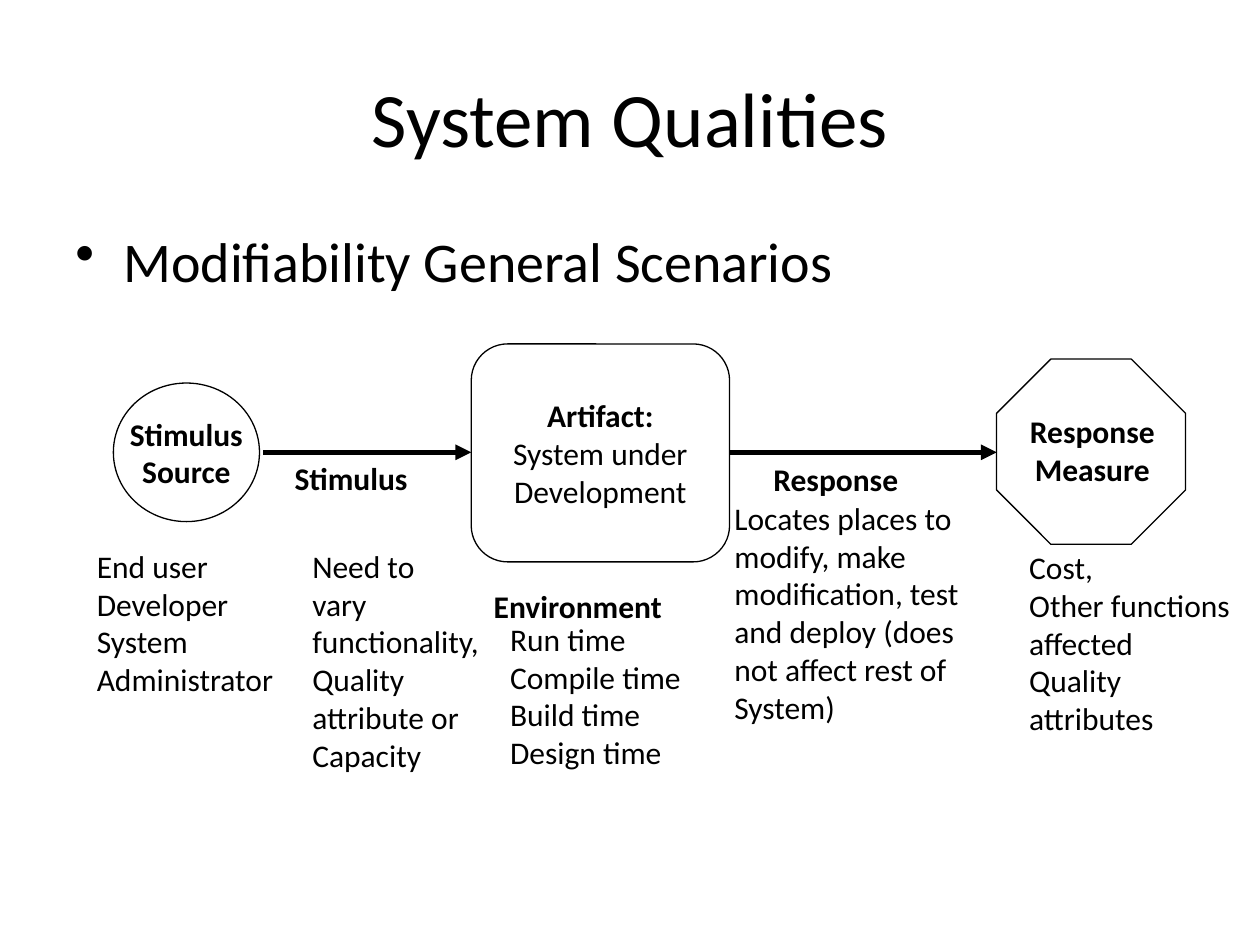
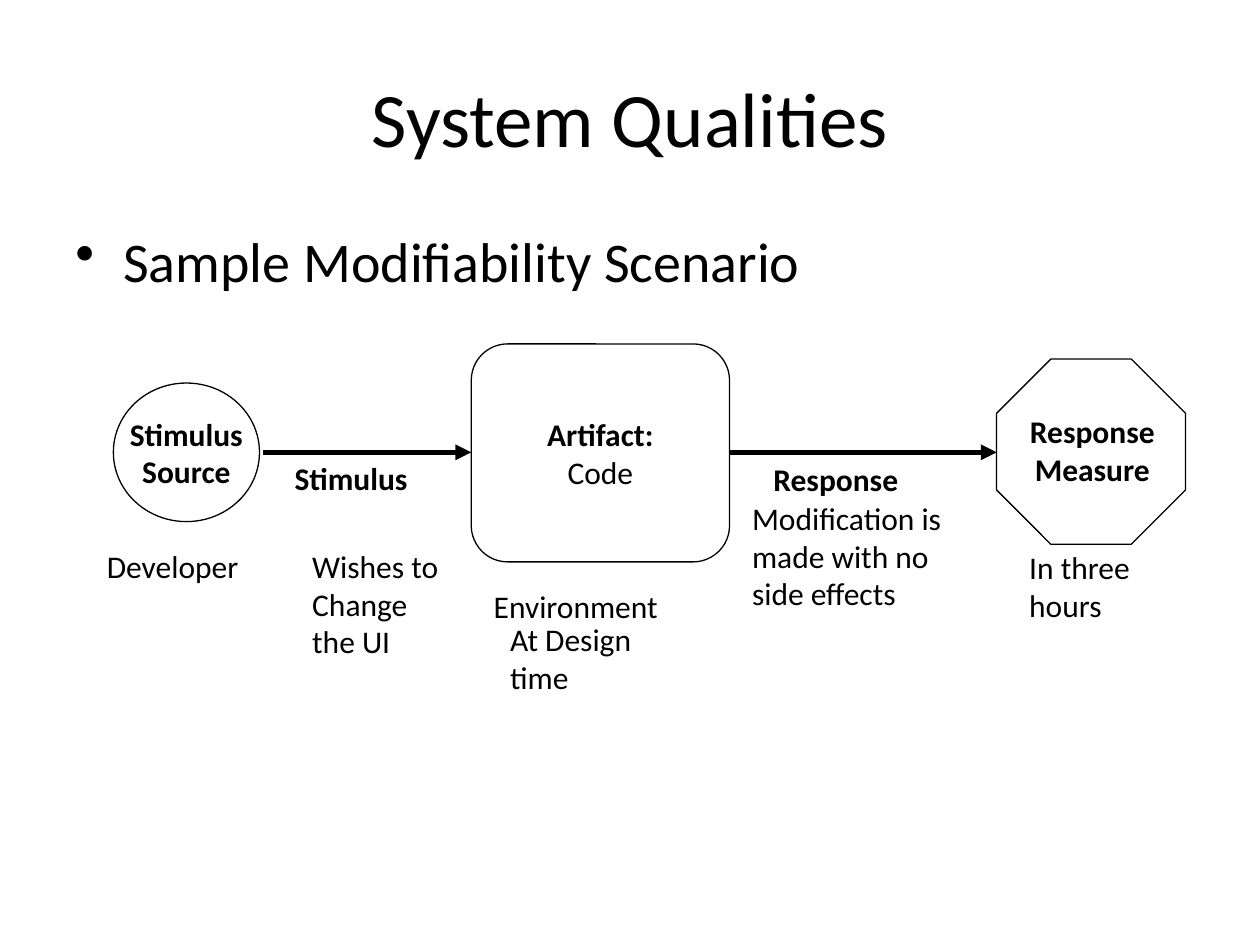
import dataclasses
import typing

import lxml.etree
import pptx
import pptx.dml.color
import pptx.enum.shapes
import pptx.enum.text
import pptx.oxml.ns
import pptx.util

COLORS = {"ink": "000000", "paper": "FFFFFF"}
FONT = "Calibri"
COLUMNS, ROWS = 100, 75  # grid laid over the slide
WIDTH, HEIGHT = pptx.util.Inches(10), pptx.util.Inches(7.5)
TITLE = "System Qualities"
TITLE_SIZE, TOPIC_SIZE, LABEL_SIZE = 44, 32, 18
AXIS_ROW = 35.9  # row of both arrows
NOTE_ROW = 42.9

Shape = pptx.enum.shapes.MSO_SHAPE
Align = pptx.enum.text.PP_ALIGN
Anchor = pptx.enum.text.MSO_ANCHOR
Fit = pptx.enum.text.MSO_AUTO_SIZE


@dataclasses.dataclass(frozen=True)
class Area:
    column: float
    row: float
    columns: float
    rows: float

    def lengths(self) -> tuple[int, int, int, int]:
        return (x_at(self.column), y_at(self.row), x_at(self.columns), y_at(self.rows))


@dataclasses.dataclass(frozen=True)
class Label:
    area: Area
    lines: tuple[str, ...]
    bold_lines: int = 0  # how many leading lines are bold
    align: typing.Any = Align.LEFT


@dataclasses.dataclass(frozen=True)
class Node:
    kind: typing.Any
    area: Area
    adjustment: float | None = None
    lines: tuple[str, ...] = ()
    bold_lines: int = 0


@dataclasses.dataclass(frozen=True)
class Scenario:
    topic: str
    artifact: tuple[str, ...]
    labels: tuple[Label, ...]


def x_at(column: float) -> int:
    return round(WIDTH * column / COLUMNS)


def y_at(row: float) -> int:
    return round(HEIGHT * row / ROWS)


# Parts that both scenarios share
ARROWS = ((57.9, 79.1), (20.9, 37.4))
OUTLINES = (
    Node(Shape.OCTAGON, Area(79.1, 28.5, 15, 14.7), 0.293),
    Node(Shape.OVAL, Area(9, 30.4, 11.6, 11), None, ("Stimulus", "Source"), 2),
)
SHARED_LABELS = (
    Label(Area(60.4, 36, 14, 4), ("Response",), 1),
    Label(Area(22.4, AXIS_ROW, 12.6, 4), ("Stimulus",), 1),
    Label(Area(79.7, 32.2, 14, 7), ("Response", "Measure"), 2, Align.CENTER),
)

SCENARIOS = (
    Scenario(
        "Modifiability General Scenarios",
        ("System under", "Development"),
        (
            Label(Area(38.2, 46.1, 17.3, 4), ("Environment",), 1),
            Label(Area(6.7, NOTE_ROW, 16.7, 13),
                  ("End user", "Developer", "System", "Administrator")),
            Label(Area(23.8, NOTE_ROW, 15.9, 22),
                  ("Need to", "vary", "functionality,", "Quality",
                   "attribute or", "Capacity")),
            Label(Area(39.5, 48.7, 16.6, 13),
                  ("Run time", "Compile time", "Build time", "Design time")),
            Label(Area(57.3, 39.1, 21.5, 19),
                  ("Locates places to", "modify, make", "modification, test",
                   "and deploy (does", "not affect rest of", "System)")),
            Label(Area(80.7, 43, 19, 16),
                  ("Cost,", "Other functions", "affected", "Quality", "attributes")),
        ),
    ),
    Scenario(
        "Sample Modifiability Scenario",
        ("Code",),
        (
            Label(Area(38.2, 46.1, 16, 4), ("Environment",)),
            Label(Area(7.5, NOTE_ROW, 13.4, 4), ("Developer",)),
            Label(Area(23.8, NOTE_ROW, 13, 13), ("Wishes to", "Change", "the UI")),
            Label(Area(39.5, 48.7, 12.8, 7), ("At Design", "time")),
            Label(Area(58.7, 39.1, 18.5, 10),
                  ("Modification is", "made with no", "side effects")),
            Label(Area(80.7, 43, 10.5, 7), ("In three", "hours")),
        ),
    ),
)


def color(name: str) -> pptx.dml.color.RGBColor:
    return pptx.dml.color.RGBColor.from_string(COLORS[name])


def write_lines(frame, lines: tuple[str, ...], size: float, align=Align.LEFT,
                bold_lines: int = 0) -> None:
    for index, line in enumerate(lines):
        para = frame.add_paragraph() if index else frame.paragraphs[0]
        para.text = line
        para.alignment = align
        para.font.name = FONT
        para.font.size = pptx.util.Pt(size)
        para.font.bold = index < bold_lines
        para.font.color.rgb = color("ink")


def add_heading(page, area: Area, text: str, size: float, align, anchor):
    frame = page.shapes.add_textbox(*area.lengths()).text_frame
    frame.word_wrap = True
    frame.vertical_anchor = anchor
    write_lines(frame, (text,), size, align)
    return frame.paragraphs[0]


def add_topic(page, text: str) -> None:
    para = add_heading(page, Area(5, 17.5, 90, 49.5), text, TOPIC_SIZE,
                       Align.LEFT, Anchor.TOP)
    properties = para._p.get_or_add_pPr()
    indent = pptx.util.Inches(0.38)
    properties.set("marL", str(indent))
    properties.set("indent", str(-indent))
    bullet = lxml.etree.Element(pptx.oxml.ns.qn("a:buChar"), char="•")
    properties.insert(0, bullet)


def add_label(page, label: Label) -> None:
    frame = page.shapes.add_textbox(*label.area.lengths()).text_frame
    frame.word_wrap = False
    frame.auto_size = Fit.SHAPE_TO_FIT_TEXT
    write_lines(frame, label.lines, LABEL_SIZE, label.align, label.bold_lines)


def add_node(page, node: Node) -> None:
    box = page.shapes.add_shape(node.kind, *node.area.lengths())
    box.shadow.inherit = False
    box.fill.background()
    box.line.color.rgb = color("ink")
    box.line.width = pptx.util.Pt(0.75)
    if node.adjustment is not None:
        box.adjustments[0] = node.adjustment
    box.text_frame.word_wrap = False
    box.text_frame.vertical_anchor = Anchor.MIDDLE
    write_lines(box.text_frame, node.lines, LABEL_SIZE, Align.CENTER, node.bold_lines)


def add_arrow(page, start: float, end: float) -> None:
    arrow = page.shapes.add_connector(
        pptx.enum.shapes.MSO_CONNECTOR.STRAIGHT,
        x_at(start), y_at(AXIS_ROW), x_at(end), y_at(AXIS_ROW))
    arrow.line.color.rgb = color("ink")
    arrow.line.width = pptx.util.Pt(3)
    lxml.etree.SubElement(arrow.line._get_or_add_ln(),
                          pptx.oxml.ns.qn("a:tailEnd"), type="triangle")
    lxml.etree.SubElement(arrow._element.spPr, pptx.oxml.ns.qn("a:effectLst"))


def add_scenario(deck, scenario: Scenario) -> None:
    page = deck.slides.add_slide(deck.slide_layouts[6])
    page.background.fill.solid()
    page.background.fill.fore_color.rgb = color("paper")
    # Title and topic
    add_heading(page, Area(5, 3, 90, 12.5), TITLE, TITLE_SIZE,
                Align.CENTER, Anchor.MIDDLE)
    add_topic(page, scenario.topic)
    # Flow from source through artifact to measure
    artifact = Node(Shape.ROUNDED_RECTANGLE, Area(37.4, 27.3, 20.5, 17.3), 0.167,
                    ("Artifact:", *scenario.artifact), 1)
    for node in (artifact, *OUTLINES):
        add_node(page, node)
    for start, end in ARROWS:
        add_arrow(page, start, end)
    # Names and details of each step
    for label in SHARED_LABELS + scenario.labels:
        add_label(page, label)


def main() -> None:
    deck = pptx.Presentation()
    deck.slide_width, deck.slide_height = WIDTH, HEIGHT
    for scenario in SCENARIOS:
        add_scenario(deck, scenario)
    deck.save("out.pptx")


if __name__ == "__main__":
    main()
